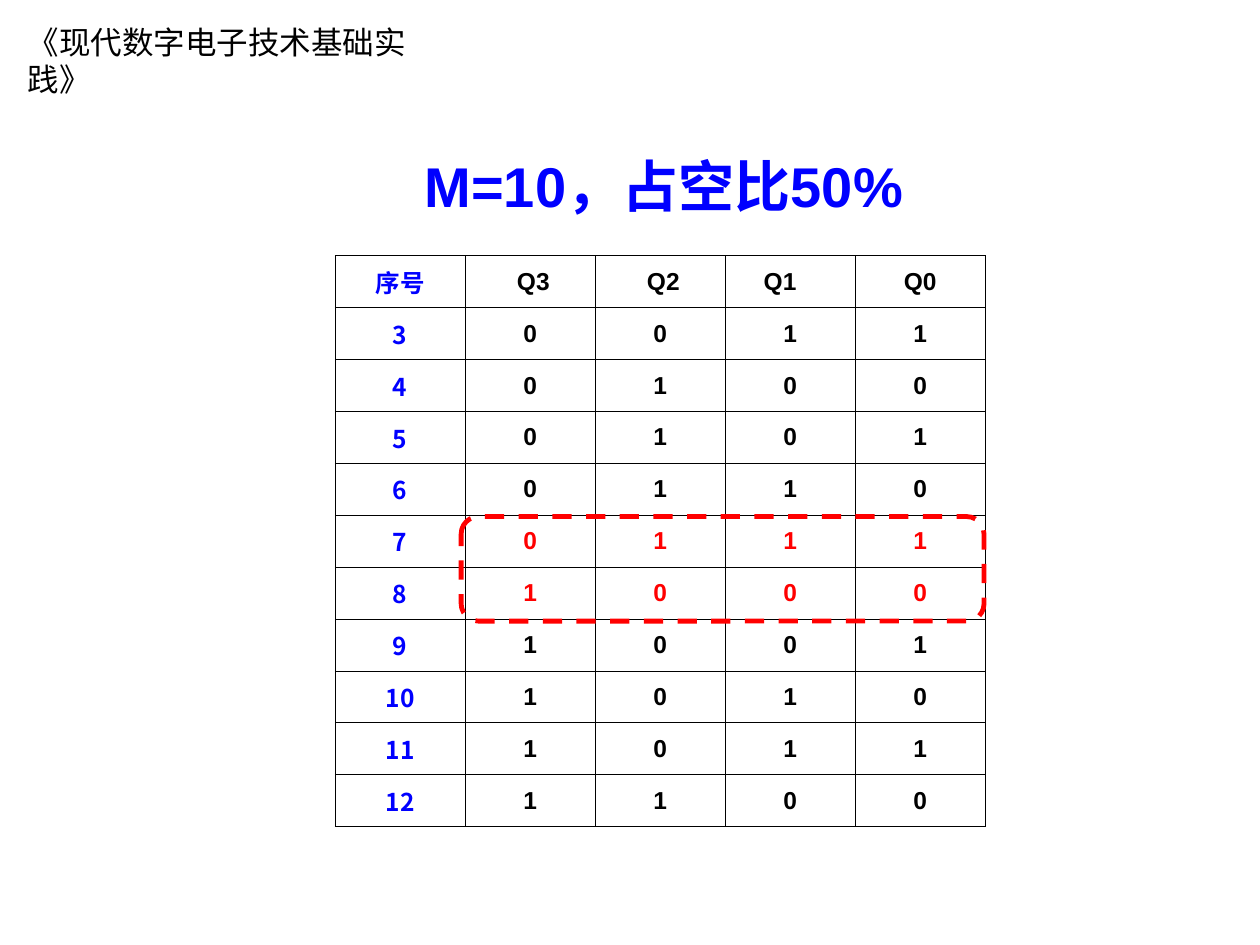
import dataclasses

import pptx
import pptx.dml.color
import pptx.enum.dml
import pptx.enum.shapes
import pptx.enum.text
import pptx.oxml
import pptx.oxml.ns
import pptx.util
from pptx.util import Inches

BLUE = pptx.dml.color.RGBColor(0, 0, 255)
RED = pptx.dml.color.RGBColor(255, 0, 0)
BLACK = pptx.dml.color.RGBColor(0, 0, 0)
LATIN_FONT = "Arial"
CHINESE_FONT = "Noto Sans CJK SC"
CELL_MARGIN = 0.01
BORDER_WIDTH = pptx.util.Pt(0.45)
HIGHLIGHTED = (7, 8)
LEFT = pptx.enum.text.PP_ALIGN.LEFT
CENTER = pptx.enum.text.PP_ALIGN.CENTER


@dataclasses.dataclass
class Heading:
    text: str
    left_gap: float = 0
    right_gap: float = 0


HEADINGS = [
    Heading("序号"),
    Heading("Q3", left_gap=0.05),
    Heading("Q2", left_gap=0.05),
    Heading("Q1", right_gap=0.16),
    Heading("Q0"),
]


def write_text(frame, text: str, *, size: float, color, font: str = LATIN_FONT,
               bold: bool = False, align=LEFT) -> None:
    para = frame.paragraphs[0]
    para.alignment = align
    span = para.add_run()
    span.text = text
    span.font.size = pptx.util.Pt(size)
    span.font.bold = bold
    span.font.name = font
    span.font.color.rgb = color
    east_asian = pptx.oxml.parse_xml(
        f'<a:ea {pptx.oxml.ns.nsdecls("a")} typeface="{CHINESE_FONT}"/>')
    span.font._element.find(pptx.oxml.ns.qn("a:latin")).addnext(east_asian)


def draw_borders(cell) -> None:
    properties = cell._tc.get_or_add_tcPr()
    for position, side in enumerate(("lnL", "lnR", "lnT", "lnB")):
        properties.insert(position, pptx.oxml.parse_xml(
            f'<a:{side} {pptx.oxml.ns.nsdecls("a")} w="{int(BORDER_WIDTH)}">'
            f'<a:solidFill><a:srgbClr val="{BLACK}"/></a:solidFill></a:{side}>'))


def fill_cell(cell, heading: Heading, *, color, font: str) -> None:
    cell.fill.background()
    draw_borders(cell)
    cell.margin_left = Inches(CELL_MARGIN + heading.left_gap)
    cell.margin_right = Inches(CELL_MARGIN + heading.right_gap)
    cell.vertical_anchor = pptx.enum.text.MSO_ANCHOR.MIDDLE
    write_text(cell.text_frame, heading.text, size=14, color=color, font=font,
               bold=True, align=CENTER)


def draw_state_table(page) -> None:
    states = range(3, 13)
    table = page.shapes.add_table(
        len(states) + 1, len(HEADINGS),
        Inches(2.66), Inches(2.03), Inches(5.16), Inches(4.53)).table
    table.first_row = False
    table.horz_banding = False
    rows = [(HEADINGS, BLACK)]
    for state in states:
        values = [Heading(text) for text in (str(state), *f"{state:04b}")]
        rows.append((values, RED if state in HIGHLIGHTED else BLACK))
    for row, (values, row_color) in enumerate(rows):
        for column, value in enumerate(values):
            is_label = column == 0
            fill_cell(table.cell(row, column), value,
                      color=BLUE if is_label else row_color,
                      font=CHINESE_FONT if is_label else LATIN_FONT)


def draw_highlight(page) -> None:
    frame = page.shapes.add_shape(
        pptx.enum.shapes.MSO_SHAPE.ROUNDED_RECTANGLE,
        Inches(3.66), Inches(4.1), Inches(4.15), Inches(0.83))
    frame.shadow.inherit = False
    frame.fill.background()
    frame.line.color.rgb = RED
    frame.line.width = pptx.util.Pt(2.75)
    frame.line.dash_style = pptx.enum.dml.MSO_LINE.DASH


def main() -> None:
    deck = pptx.Presentation()
    deck.slide_width = Inches(10)
    deck.slide_height = Inches(7.5)
    page = deck.slides.add_slide(deck.slide_layouts.get_by_name("Title Only"))

    course = page.shapes.add_textbox(Inches(0.12), Inches(0.13), Inches(3.55), Inches(0.7))
    course.text_frame.word_wrap = True
    write_text(course.text_frame, "《现代数字电子技术基础实践》", size=18, color=BLACK)

    title = page.shapes.title
    title.left, title.top = Inches(3.27), Inches(1.15)
    title.width, title.height = Inches(4.25), Inches(0.64)
    title.text_frame.auto_size = pptx.enum.text.MSO_AUTO_SIZE.NONE
    title.text_frame.vertical_anchor = pptx.enum.text.MSO_ANCHOR.MIDDLE
    write_text(title.text_frame, "M=10，占空比50%", size=32, color=BLUE, bold=True)

    draw_state_table(page)
    draw_highlight(page)
    deck.save("out.pptx")


if __name__ == "__main__":
    main()
